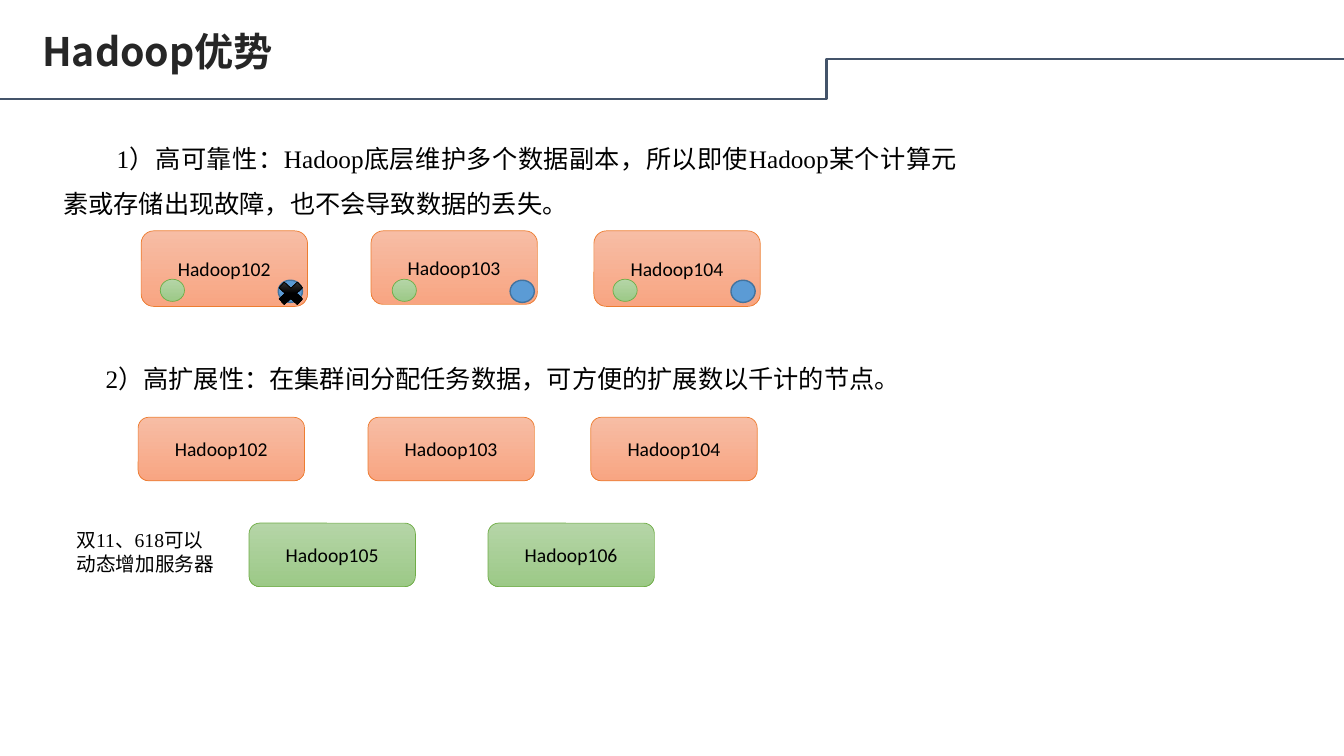
"""Build the slide on the advantages of Hadoop: reliability and scalability."""
from dataclasses import dataclass

from lxml import etree
from pptx import Presentation, util as u
from pptx.dml.color import RGBColor
from pptx.enum import shapes, text
from pptx.oxml.ns import qn


@dataclass(frozen=True)
class Theme:
    ink: str = "000000"
    title: str = "262626"
    rule: str = "44546A"
    orange: tuple = ("F7BDA5", "F8A582", "ED7D31", 0.5, 1)
    green: tuple = ("B5D5A7", "9CC987", "70AD47", 0.5, 1)
    blue: tuple = ("5B9BD5", "5B9BD5", "43739E", 1, 1)
    black: tuple = ("4B4B4B", "000000", "000000", 0.5, 0.5)
    cjk: str = "Noto Sans CJK SC"
    serif: str = "Times New Roman"
    sans: str = "Calibri"
    title_size: int = 28
    body_size: int = 18
    label_size: int = 14


theme = Theme()


def add_run(p, words, font, size, color=theme.ink, bold=False):
    r = p.add_run()
    r.text = words
    r.font.name, r.font.size, r.font.bold = font, u.Pt(size), bold
    r.font.color.rgb = RGBColor.from_string(color)
    etree.SubElement(r.font._element, qn("a:ea"), typeface=theme.cjk)


def add_figure(kind, left, top, width, height, style, label=""):
    start, end, line, weight, stop = style
    sp = s.shapes.add_shape(kind, *map(u.Inches, (left, top, width, height)))
    sp.shadow.inherit = False
    if start == end:
        sp.fill.solid()
        sp.fill.fore_color.rgb = RGBColor.from_string(start)
    else:
        sp.fill.gradient()
        sp.fill.gradient_angle = 270
        first, last = sp.fill.gradient_stops
        first.color.rgb = RGBColor.from_string(start)
        last.color.rgb = RGBColor.from_string(end)
        first.position, last.position = 0, stop
    sp.line.color.rgb = RGBColor.from_string(line)
    sp.line.width = u.Pt(weight)
    if label:
        sp.text_frame.vertical_anchor = text.MSO_ANCHOR.MIDDLE
        p = sp.text_frame.paragraphs[0]
        p.alignment = text.PP_ALIGN.CENTER
        add_run(p, label, theme.sans, theme.label_size)


prs = Presentation()
prs.slide_width, prs.slide_height = u.Inches(13.33), u.Inches(7.5)
s = prs.slides.add_slide(prs.slide_layouts[5])

rule = s.shapes.add_connector(shapes.MSO_CONNECTOR.ELBOW, u.Inches(0), u.Inches(0.98),
                              u.Inches(13.33), u.Inches(0.59))
rule.line.color.rgb = RGBColor.from_string(theme.rule)
rule.line.width = u.Pt(1.5)
rule_pr = rule._element.spPr
etree.SubElement(rule_pr, qn("a:effectLst"))
etree.SubElement(rule_pr.find(qn("a:prstGeom")).find(qn("a:avLst")), qn("a:gd"),
                 name="adj1", fmla="val 61500")

title = s.shapes.title
title.left, title.top = u.Inches(0.12), u.Inches(0.28)
title.width, title.height = u.Inches(5.08), u.Inches(0.51)
tf = title.text_frame
tf.auto_size = text.MSO_AUTO_SIZE.NONE
tf.vertical_anchor = text.MSO_ANCHOR.MIDDLE
p = tf.paragraphs[0]
p.alignment = text.PP_ALIGN.LEFT
p.line_spacing = 0.9
p._p.get_or_add_pPr().set("marL", str(u.Inches(0.2)))
add_run(p, "Hadoop优势", theme.cjk, theme.title_size, theme.title, True)

justify, left_align = text.PP_ALIGN.JUSTIFY, text.PP_ALIGN.LEFT
passages = [
    (0.53, 1.22, 9.06, 0.96, 0.53, 1.5, justify, theme.body_size,
     "1）高可靠性：Hadoop底层维护多个数据副本，所以即使Hadoop某个计算元素或存储出现故障，也不会导致数据的丢失。"),
    (0.66, 3.41, 9.06, 0.56, 0.29, 1.5, justify, theme.body_size,
     "2）高扩展性：在集群间分配任务数据，可方便的扩展数以千计的节点。"),
    (0.66, 5.19, 1.65, 0.57, 0, 1, left_align, theme.label_size,
     "双11、618可以动态增加服务器"),
]
for left, top, width, height, indent, spacing, align, size, words in passages:
    tf = s.shapes.add_textbox(*map(u.Inches, (left, top, width, height))).text_frame
    tf.word_wrap = True
    tf.auto_size = text.MSO_AUTO_SIZE.SHAPE_TO_FIT_TEXT
    p = tf.paragraphs[0]
    p.alignment, p.line_spacing = align, spacing
    p._p.get_or_add_pPr().set("indent", str(u.Inches(indent)))
    add_run(p, words, theme.serif, size)

box, dot = shapes.MSO_SHAPE.ROUNDED_RECTANGLE, shapes.MSO_SHAPE.OVAL
nodes = [("Hadoop102", 1.37, 0.75), ("Hadoop103", 3.65, 0.73), ("Hadoop104", 5.86, 0.75)]
for name, left, height in nodes:
    add_figure(box, left, 4.14, 1.65, 0.63, theme.orange, name)
    add_figure(box, left + 0.03, 2.29, 1.65, height, theme.orange, name)

for name, left in (("Hadoop105", 2.47), ("Hadoop106", 4.84)):
    add_figure(box, left, 5.19, 1.65, 0.63, theme.green, name)

for green_left, blue_left in ((1.59, 2.76), (3.89, 5.06), (6.08, 7.25)):
    add_figure(dot, green_left, 2.77, 0.24, 0.22, theme.green)
    add_figure(dot, blue_left, 2.78, 0.24, 0.22, theme.blue)

add_figure(shapes.MSO_SHAPE.MATH_MULTIPLY, 2.71, 2.75, 0.35, 0.32, theme.black)

prs.save("out.pptx")
